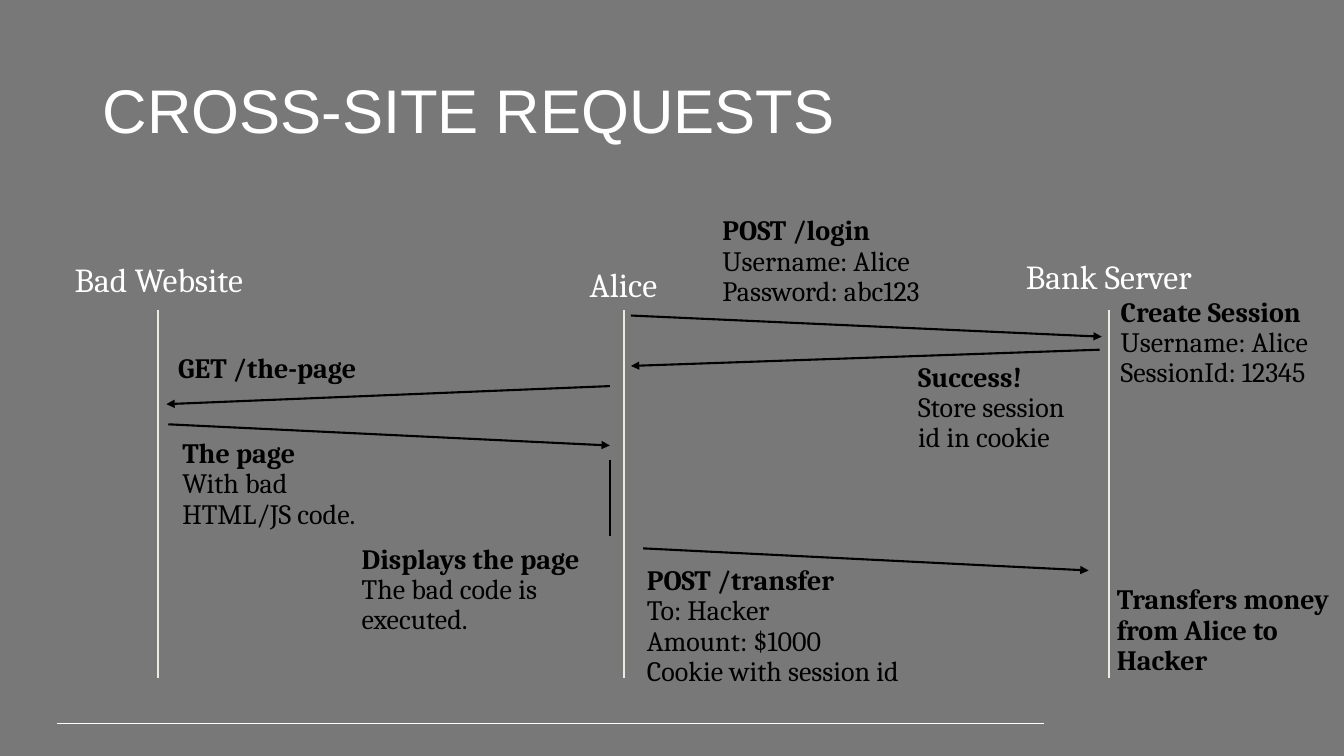
from dataclasses import dataclass

from lxml.etree import SubElement
from pptx import Presentation
from pptx.dml.color import RGBColor
from pptx.enum.shapes import MSO_CONNECTOR
from pptx.enum.text import MSO_ANCHOR, MSO_AUTO_SIZE, PP_ALIGN
from pptx.oxml.ns import qn
from pptx.util import Pt


@dataclass(frozen=True)
class Theme:
    background: str = "787878"
    light: str = "FFFFFF"
    lifeline: str = "EBEBDF"
    ink: str = "000000"
    title_font: str = "Arial"
    body_font: str = "Cambria"
    title_size: int = 44
    actor_size: int = 24
    note_size: int = 20
    rule_width: float = 0.75
    line_width: float = 1.5


THEME = Theme()
LIFELINE_TOP, LIFELINE_BOTTOM = 221.8, 484.6

# Name, label left, label top, label width, lifeline x
ACTORS = [
    ("Bad Website", 32.4, 185, 162, 113),
    ("Alice", 382.3, 188.6, 126, 445.7),
    ("Bank Server", 720, 182.2, 144, 792),
]

# Start x, start y, end x, end y
MESSAGES = [
    (450.7, 225.4, 787, 240.5),
    (785.5, 249.8, 450.7, 261.4),
    (435.6, 275.8, 118.8, 288.7),
    (120.2, 303.1, 435.6, 318.2),
    (459.4, 391.7, 777.6, 407.5),
]

# Left, top, width, height, bold heading, details
NOTES = [
    (509, 151.2, 180.7, 72.7, "POST /login", "Username: Alice\nPassword: abc123"),
    (793.4, 209.5, 169.9, 72.7, "Create Session", "Username: Alice\nSessionId: 12345"),
    (648.7, 255.6, 136.8, 72.7, "Success!", "Store session id in cookie"),
    (120.2, 249.8, 234, 28.8, "GET /the-page", ""),
    (123.1, 310.3, 171.4, 72.7, "The page", "With bad HTML/JS code."),
    (251.3, 385.9, 208.8, 72.7, "Displays the page", "The bad code is executed."),
    (455, 401, 231.1, 94.3, "POST /transfer",
     "To: Hacker\nAmount: $1000\nCookie with session id"),
    (790.6, 414.7, 181.4, 72.7, "Transfers money from Alice to Hacker", ""),
]


def style_run(run, font, size, color, bold=False):
    run.font.name = font
    run.font.size = Pt(size)
    run.font.bold = bold
    run.font.color.rgb = RGBColor.from_string(color)


def add_title(slide, text):
    title = slide.shapes.title
    title.left, title.top, title.width, title.height = Pt(66.2), Pt(28.8), Pt(828), Pt(104.4)
    frame = title.text_frame
    frame.text = text
    frame.auto_size = MSO_AUTO_SIZE.NONE
    frame.vertical_anchor = MSO_ANCHOR.MIDDLE
    heading = frame.paragraphs[0]
    heading.alignment = PP_ALIGN.LEFT
    heading.line_spacing = 0.9
    style_run(heading.runs[0], THEME.title_font, THEME.title_size, THEME.light)


def add_paragraph_box(slide, left, top, width, height, text, alignment):
    """Add a wrapping box whose line feeds become line breaks; return its paragraph."""
    frame = slide.shapes.add_textbox(Pt(left), Pt(top), Pt(width), Pt(height)).text_frame
    frame.word_wrap = True
    frame.auto_size = MSO_AUTO_SIZE.SHAPE_TO_FIT_TEXT
    paragraph = frame.paragraphs[0]
    paragraph.text = text
    paragraph.alignment = alignment
    paragraph.line_spacing = 0.9
    return paragraph


def add_line(slide, start_x, start_y, end_x, end_y, color, width=THEME.line_width, arrow=False):
    line = slide.shapes.add_connector(
        MSO_CONNECTOR.STRAIGHT, Pt(start_x), Pt(start_y), Pt(end_x), Pt(end_y))
    line.line.color.rgb = RGBColor.from_string(color)
    line.line.width = Pt(width)
    if arrow:
        SubElement(line.line._get_or_add_ln(), qn("a:tailEnd"), type="triangle")
    SubElement(line._element.spPr, qn("a:effectLst"))


def add_actor(slide, name, left, top, width, lifeline_x):
    label = add_paragraph_box(slide, left, top, width, 33.1, name, PP_ALIGN.CENTER)
    style_run(label.runs[0], THEME.body_font, THEME.actor_size, THEME.light)
    add_line(slide, lifeline_x, LIFELINE_TOP, lifeline_x, LIFELINE_BOTTOM, THEME.lifeline)


def add_note(slide, left, top, width, height, heading, details):
    text = f"{heading}\n{details}" if details else heading
    note = add_paragraph_box(slide, left, top, width, height, text, PP_ALIGN.LEFT)
    for index, run in enumerate(note.runs):
        style_run(run, THEME.body_font, THEME.note_size, THEME.ink, bold=index == 0)


def main():
    deck = Presentation()
    deck.slide_width, deck.slide_height = Pt(960), Pt(540)
    slide = deck.slides.add_slide(deck.slide_layouts.get_by_name("Title Only"))
    slide.background.fill.solid()
    slide.background.fill.fore_color.rgb = RGBColor.from_string(THEME.background)

    add_line(slide, 41, 517, 745.9, 517, THEME.light, THEME.rule_width)
    add_title(slide, "CROSS-SITE REQUESTS")
    for actor in ACTORS:
        add_actor(slide, *actor)
    for message in MESSAGES:
        add_line(slide, *message, THEME.ink, arrow=True)
    add_line(slide, 435.6, 328.3, 435.6, 383, THEME.ink)
    for note in NOTES:
        add_note(slide, *note)

    deck.save("out.pptx")


if __name__ == "__main__":
    main()
